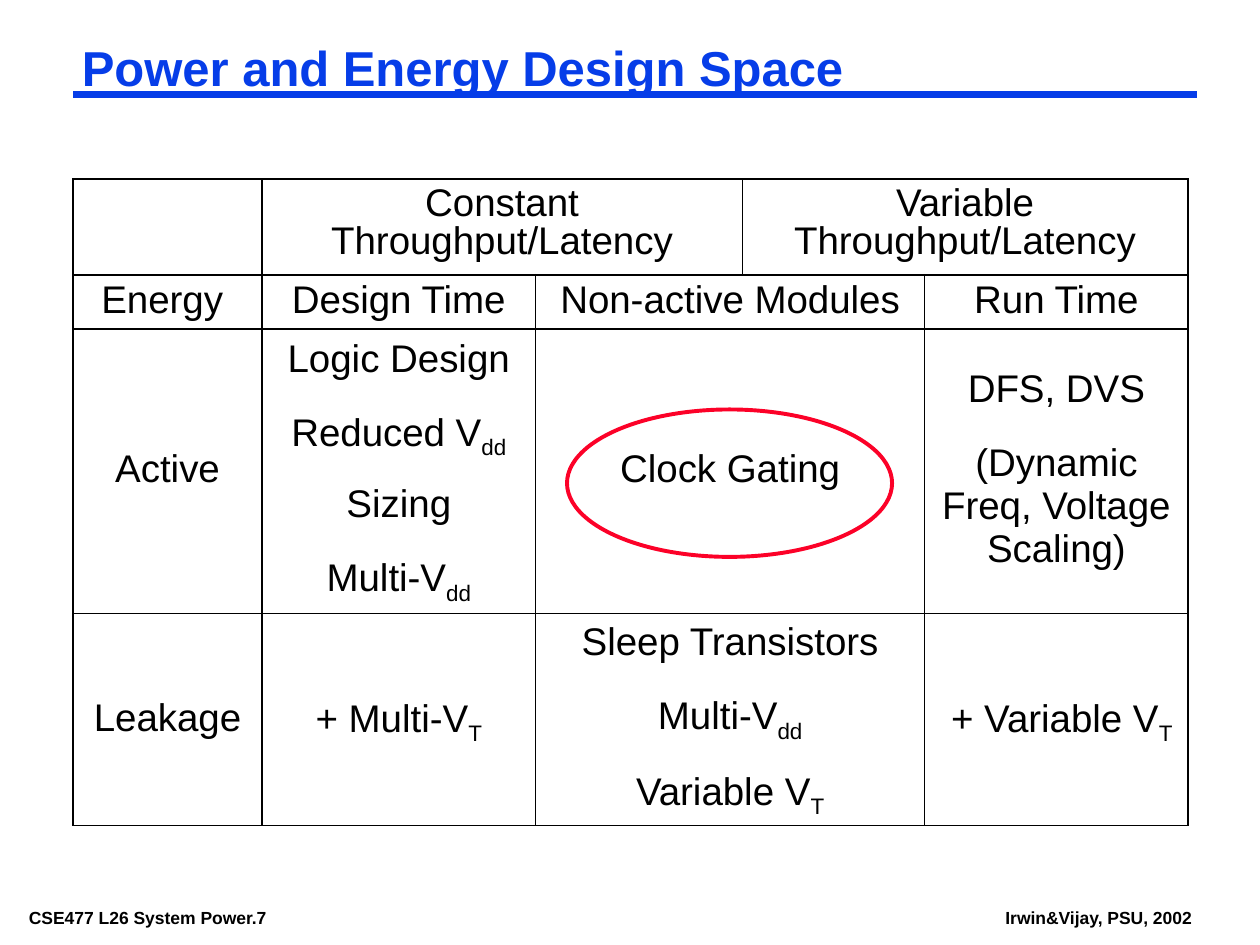
from dataclasses import dataclass

from lxml import etree
from pptx import Presentation
from pptx import util as u
from pptx.dml import color
from pptx.enum import shapes, text
from pptx.oxml import ns

SCALE = 9144


@dataclass(frozen=True)
class Theme:
    font: str = "Arial"
    ink: str = "000000"
    blue: str = "063DE8"
    red: str = "FC0128"
    title: int = 28
    body: int = 22
    footer: int = 10
    gap: float = 17.9
    hairline: float = 0.45
    frame: float = 1.08
    heavy: float = 1.47


THEME = Theme()
COLUMNS = [150, 217, 164, 145, 209]
ROWS = [76, 43, 226, 168]
COLUMN_RULES = [THEME.frame, THEME.heavy] + [THEME.hairline] * 3 + [THEME.frame]
ROW_RULES = [THEME.frame, THEME.frame, THEME.heavy, THEME.hairline, THEME.frame]
DESIGN_SPACE = [
    [(1, 2, ["Constant Throughput/Latency"]),
     (3, 2, ["Variable Throughput/Latency"])],
    [(0, 1, ["Energy "]), (1, 1, ["Design Time"]),
     (2, 2, ["Non-active Modules"]), (4, 1, ["Run Time"])],
    [(0, 1, ["Active"]),
     (1, 1, ["Logic Design", "Reduced V_dd", "Sizing", "Multi-V_dd"]),
     (2, 2, ["Clock Gating"]),
     (4, 1, ["DFS, DVS", "(Dynamic Freq, Voltage Scaling)"])],
    [(0, 1, ["Leakage"]), (1, 1, ["+ Multi-V_T"]),
     (2, 2, ["Sleep Transistors", "Multi-V_dd", "Variable V_T"]),
     (4, 1, [" + Variable V_T"])],
]


def px(length):
    return u.Emu(length * SCALE)


def rgb(value):
    return color.RGBColor.from_string(value)


def add_span(para, words, size, ink=THEME.ink, bold=False, subscript=False):
    span = para.add_run()
    span.text = words
    span.font.name = THEME.font
    span.font.size = u.Pt(size)
    span.font.bold = bold
    span.font.color.rgb = rgb(ink)
    if subscript:
        span._r.get_or_add_rPr().set("baseline", "-25000")


def add_label(page, box, words, size, ink=THEME.ink, spacing=1.0, wrap=True):
    frame = page.shapes.add_textbox(*map(px, box)).text_frame
    frame.word_wrap = wrap
    frame.margin_left = frame.margin_right = px(7)
    frame.margin_top = frame.margin_bottom = px(3)
    para = frame.paragraphs[0]
    para.line_spacing = spacing
    add_span(para, words, size, ink, bold=True)


def add_heading(page, box):
    left, top, width, height = box
    rule_top = top + 42
    rule = page.shapes.add_connector(
        shapes.MSO_CONNECTOR.STRAIGHT,
        px(left), px(rule_top), px(left + width), px(rule_top))
    rule.line.color.rgb = rgb(THEME.blue)
    rule.line.width = u.Pt(4.5)
    etree.SubElement(rule._element.spPr, ns.qn("a:effectLst"))
    add_label(page, box, "Power and Energy Design Space",
              THEME.title, THEME.blue, 0.87)


def add_footer(page, box):
    left, top, width, height = box
    add_label(page, (left, top, 266, height),
              "CSE477 L26 System Power.7", THEME.footer)
    add_label(page, (left + width - 163, top, 163, height),
              "Irwin&Vijay, PSU, 2002", THEME.footer, wrap=False)


def set_borders(cell, rules):
    properties = cell._tc.get_or_add_tcPr()
    for place, (side, width) in enumerate(rules.items()):
        line = etree.Element(ns.qn(f"a:ln{side}"), w=str(int(u.Pt(width))))
        fill = etree.SubElement(line, ns.qn("a:solidFill"))
        etree.SubElement(fill, ns.qn("a:srgbClr"), val=THEME.ink)
        properties.insert(place, line)


def fill_cell(cell, lines):
    frame = cell.text_frame
    for index, line in enumerate(lines):
        para = frame.add_paragraph() if index else frame.paragraphs[0]
        para.alignment = text.PP_ALIGN.CENTER
        para.line_spacing = 1.0 if line.startswith("(") else 0.9
        if index:
            para.space_before = u.Pt(THEME.gap)
        base, _, subscript = line.partition("_")
        add_span(para, base, THEME.body)
        if subscript:
            add_span(para, subscript, THEME.body, subscript=True)


def add_design_table(page, box):
    table = page.shapes.add_table(len(ROWS), len(COLUMNS), *map(px, box)).table
    table.first_row = table.horz_banding = False
    for column, width in zip(table.columns, COLUMNS):
        column.width = px(width)
    for row, height in zip(table.rows, ROWS):
        row.height = px(height)
    ends = {(r, c): c + span
            for r, row in enumerate(DESIGN_SPACE) for c, span, _ in row}
    for r in range(len(ROWS)):
        for c in range(len(COLUMNS)):
            cell = table.cell(r, c)
            cell.fill.background()
            set_borders(cell, {"L": COLUMN_RULES[c],
                               "R": COLUMN_RULES[ends.get((r, c), c + 1)],
                               "T": ROW_RULES[r], "B": ROW_RULES[r + 1]})
    for r, row in enumerate(DESIGN_SPACE):
        for c, span, lines in row:
            cell = table.cell(r, c)
            if span > 1:
                cell.merge(table.cell(r, c + span - 1))
            if r:
                cell.vertical_anchor = text.MSO_ANCHOR.MIDDLE
            fill_cell(cell, lines)


def add_highlight(page, box):
    ring = page.shapes.add_shape(shapes.MSO_SHAPE.OVAL, *map(px, box))
    ring.shadow.inherit = False
    ring.fill.background()
    ring.line.color.rgb = rgb(THEME.red)
    ring.line.width = u.Pt(2.25)


def main():
    deck = Presentation()
    deck.slide_width, deck.slide_height = px(1000), px(750)
    page = deck.slides.add_slide(deck.slide_layouts[6])
    add_footer(page, (16, 717, 938, 22))
    add_heading(page, (58, 33, 892, 46))
    add_design_table(page, (58, 142, sum(COLUMNS), sum(ROWS)))
    add_highlight(page, (450, 325, 258, 117))
    deck.save("out.pptx")


if __name__ == "__main__":
    main()
